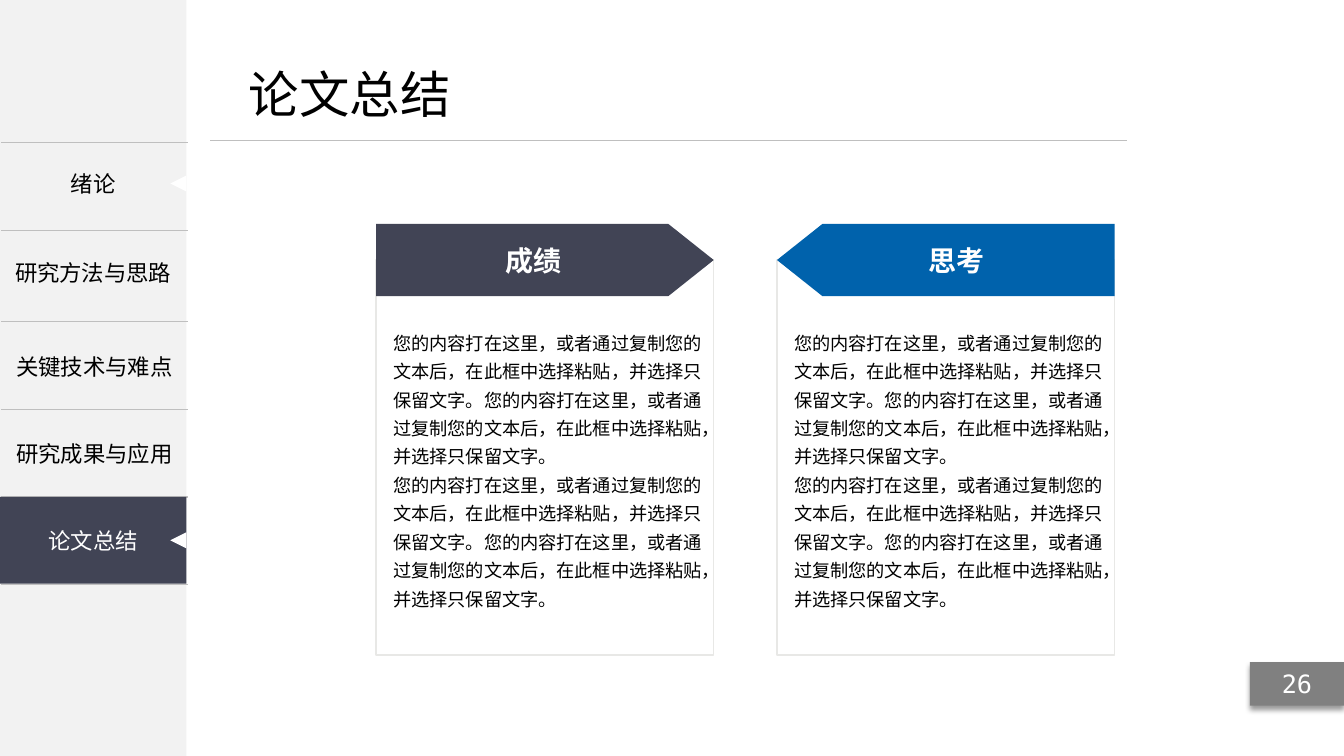
import pptx
import pptx.util
import pptx.dml.color
import pptx.enum.shapes
import pptx.enum.text
import pptx.oxml
import pptx.oxml.ns

Pt = pptx.util.Pt
KIND = pptx.enum.shapes.MSO_SHAPE
ALIGN = pptx.enum.text.PP_ALIGN
ANCHOR = pptx.enum.text.MSO_ANCHOR
NS = pptx.oxml.ns.nsdecls("a")
SANS = "Noto Sans CJK SC"
GREY, NAVY, BLUE, WHITE = "BFBFBF", "414455", "0062AC", "FFFFFF"


def paint(item, fill, line=None):
    """Give a shape a flat fill, an optional 1 pt outline and no shadow."""
    item.shadow.inherit = False
    item.fill.solid()
    item.fill.fore_color.rgb = pptx.dml.color.RGBColor.from_string(fill)
    if line:
        item.line.color.rgb = pptx.dml.color.RGBColor.from_string(line)
        item.line.width = Pt(1)
    else:
        item.line.fill.background()


def write(frame, *lines, size=16, color="000000", font=SANS, bold=False,
          align=ALIGN.CENTER, anchor=ANCHOR.MIDDLE, pad=3.6, wrap=True,
          space=None, grow=True):
    """Fill a text frame, one paragraph for each line."""
    frame.word_wrap = wrap
    frame.vertical_anchor = anchor
    frame.margin_left = frame.margin_right = Pt(pad)
    frame.margin_top = frame.margin_bottom = Pt(pad)
    if grow:
        frame.auto_size = pptx.enum.text.MSO_AUTO_SIZE.SHAPE_TO_FIT_TEXT
    for i, line in enumerate(lines):
        para = frame.add_paragraph() if i else frame.paragraphs[0]
        para.alignment = align
        para.line_spacing = space
        run = para.add_run()
        run.text = line
        run.font.size = Pt(size)
        run.font.bold = bold
        run.font.color.rgb = pptx.dml.color.RGBColor.from_string(color)
        run.font.name = font
        run._r.get_or_add_rPr().append(
            pptx.oxml.parse_xml(f'<a:ea {NS} typeface="{font}"/>'))


deck = pptx.Presentation()
deck.slide_width, deck.slide_height = Pt(960), Pt(540)
slide = deck.slides.add_slide(deck.slide_layouts[6])
shapes = slide.shapes

# Sidebar and title
side = shapes.add_shape(KIND.RECTANGLE, 0, 0, Pt(133.2), Pt(540))
paint(side, "F2F2F2")
rule = shapes.add_connector(pptx.enum.shapes.MSO_CONNECTOR.STRAIGHT,
                            Pt(150.3), Pt(100), Pt(805), Pt(100))
rule.line.color.rgb = pptx.dml.color.RGBColor.from_string(GREY)
rule.line.width = Pt(0.5)
rule._element.spPr.append(pptx.oxml.parse_xml(f"<a:effectLst {NS}/>"))
title = shapes.add_textbox(Pt(174.2), Pt(41.8), Pt(152), Pt(56.9))
write(title.text_frame, "论文总结", size=36, align=ALIGN.LEFT,
      anchor=ANCHOR.TOP, wrap=False)

# Menu grid
menu = shapes.add_table(5, 1, Pt(0.9), Pt(102), Pt(133.2), Pt(315)).table
menu.first_row = menu.horz_banding = False
names = ["", "", "关键技术与难点", "研究成果与应用", ""]
for i, (name, high) in enumerate(zip(names, [62.6, 65.2, 62.6, 62.6, 62.6])):
    menu.rows[i].height = Pt(high)
    cell = menu.cell(i, 0)
    cell.fill.background()
    solid = f'<a:solidFill><a:srgbClr val="{GREY}"/></a:solidFill>'
    for j, edge in enumerate("LRTB"):
        ink = solid if edge in "TB" else "<a:noFill/>"
        cell._tc.get_or_add_tcPr().insert(j, pptx.oxml.parse_xml(
            f'<a:ln{edge} {NS} w="12700">{ink}</a:ln{edge}>'))
    if name:
        write(cell.text_frame, name, grow=False)
        cell.vertical_anchor = ANCHOR.MIDDLE
        cell.margin_left = cell.margin_right = Pt(3.6)
        cell.margin_top = cell.margin_bottom = Pt(3.6)

# Menu labels; the current section is dark
now = shapes.add_shape(KIND.RECTANGLE, 0, Pt(355), Pt(133.2), Pt(61.9))
paint(now, NAVY)
for name, top, color, mark in [("绪论", 116.6, "000000", 125.3),
                               ("研究方法与思路", 180, "000000", None),
                               ("论文总结", 371.5, WHITE, 380.2)]:
    label = shapes.add_textbox(0, Pt(top), Pt(133.2), Pt(29.5))
    write(label.text_frame, name, color=color)
    if mark:
        notch = shapes.add_shape(KIND.ISOSCELES_TRIANGLE, Pt(121.7), Pt(mark),
                                 Pt(11.5), Pt(11.5))
        notch.rotation = 270
        paint(notch, WHITE)

# Page number
page = shapes.add_shape(KIND.RECTANGLE, Pt(892.8), Pt(473), Pt(67.2), Pt(31))
paint(page, "808080")
page._element.spPr.find(pptx.oxml.ns.qn("a:effectLst")).append(
    pptx.oxml.parse_xml(
        f'<a:outerShdw {NS} blurRad="50800" dist="38100" dir="5400000">'
        '<a:srgbClr val="000000"><a:alpha val="40000"/></a:srgbClr>'
        '</a:outerShdw>'))
write(page.text_frame, "26", size=18, color=WHITE, font="DejaVu Sans Mono")

# Two cards whose banners point at each other
half = "您的内容打在这里，或者通过复制您的文本后，在此框中选择粘贴，并选择只保留文字。"
wide, tip, top, high = 241.2, 32.4, 160, 51.5
for name, left, back, way, color, mid in [
        ("成绩", 268.6, 268.6, 1, NAVY, 381.2),
        ("思考", 555, 796.2, -1, BLUE, 683.6)]:
    card = shapes.add_shape(KIND.RECTANGLE, Pt(left), Pt(185.8),
                            Pt(wide), Pt(282))
    paint(card, WHITE, "E8E8E6")
    neck, point = back + way * (wide - tip), back + way * wide
    path = shapes.build_freeform(Pt(back), Pt(top))
    path.add_line_segments([(Pt(x), Pt(y)) for x, y in [
        (neck, top), (point, top + high / 2),
        (neck, top + high), (back, top + high)]])
    paint(path.convert_to_shape(), color)
    head = shapes.add_textbox(Pt(mid - 23.4), Pt(168.8), Pt(46.8), Pt(33.8))
    write(head.text_frame, name, size=20, color=WHITE, bold=True, pad=2.9,
          wrap=False)
    body = shapes.add_textbox(Pt(left + 9.4), Pt(229.7), Pt(231.8), Pt(234.7))
    write(body.text_frame, half * 2, half * 2, size=13, align=ALIGN.LEFT,
          anchor=ANCHOR.TOP, pad=2.9, space=1.3)

deck.save("out.pptx")
